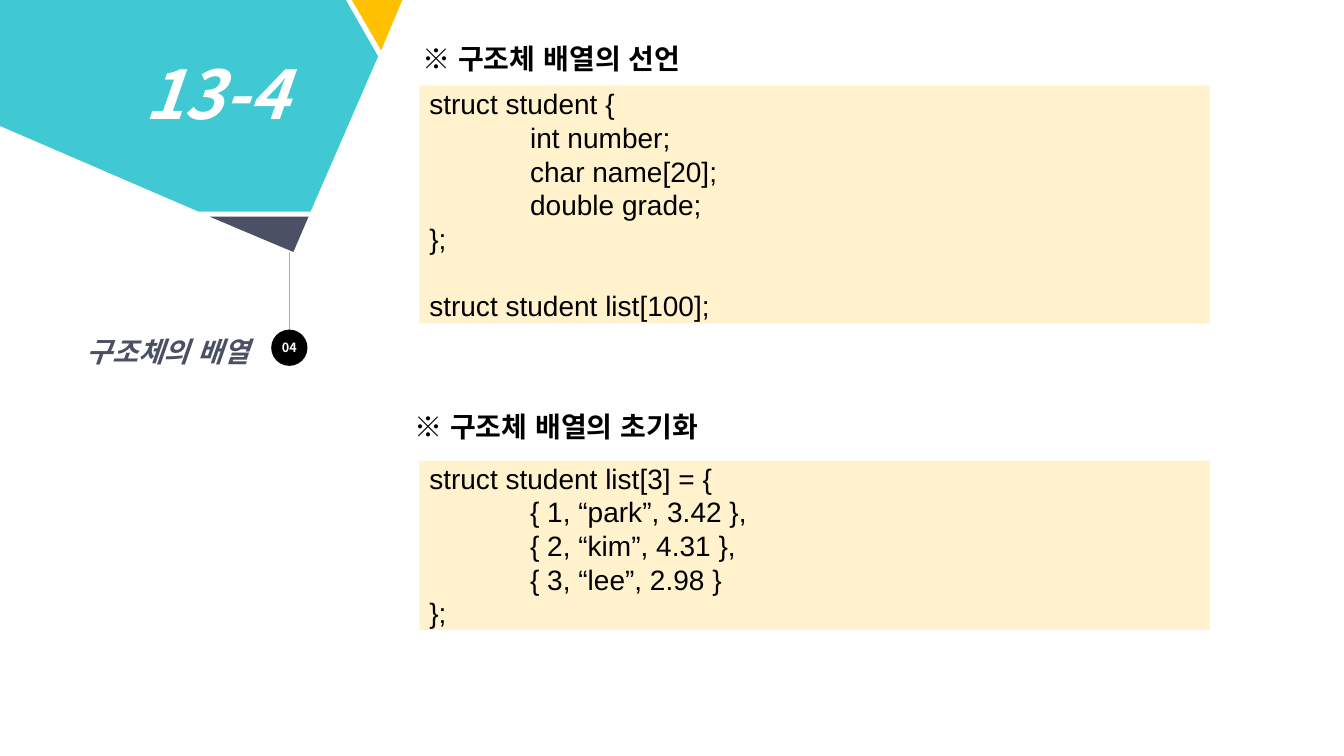
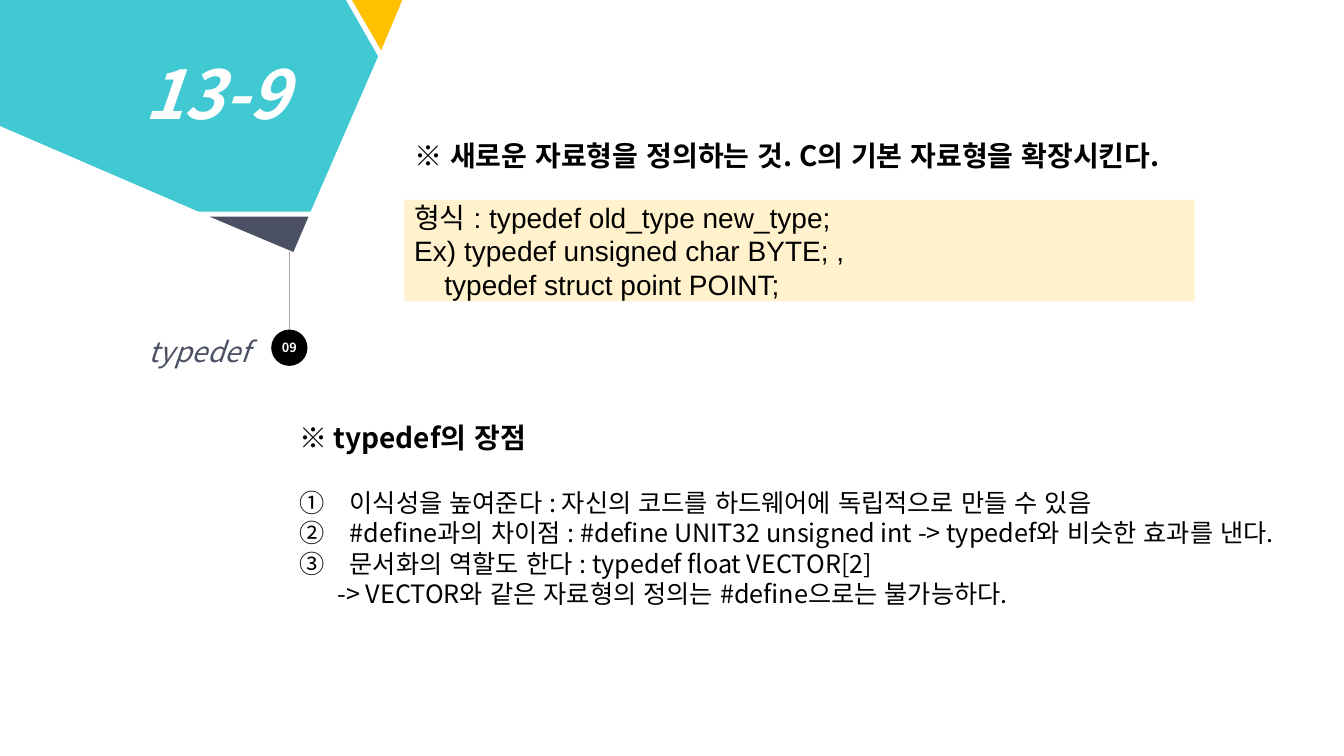
import pptx
import pptx.util
import pptx.dml.color
import pptx.enum.lang
import pptx.enum.shapes
import pptx.enum.text
import pptx.oxml
import pptx.oxml.ns

Inches, Pt = pptx.util.Inches, pptx.util.Pt
RGBColor = pptx.dml.color.RGBColor
ALIGN = pptx.enum.text.PP_ALIGN
ANCHOR = pptx.enum.text.MSO_ANCHOR
qn = pptx.oxml.ns.qn

# Shared style
TEAL = RGBColor(0x41, 0xC9, 0xD3)
AMBER = RGBColor(0xFF, 0xC0, 0x00)
SLATE = RGBColor(0x4C, 0x50, 0x64)
GRAY = RGBColor(0xAF, 0xAB, 0xAB)
CREAM = RGBColor(0xFF, 0xF2, 0xCC)
BLACK = RGBColor(0, 0, 0)
WHITE = RGBColor(0xFF, 0xFF, 0xFF)
KOREAN_FONT, CODE_FONT = "Noto Sans CJK KR", "Arial"

BANDS = [
    (AMBER, [(3.49, 0), (4.01, 0), (3.99, 0), (3.78, 0.5)]),
    (TEAL, [(0, 0), (3.43, 0), (3.75, 0.56), (3.08, 2.1), (1.97, 2.1), (0, 1.25)]),
    (SLATE, [(2.08, 2.15), (3.06, 2.15), (2.91, 2.5)]),
]


def fill_plain(shape, color):
    shape.shadow.inherit = False
    shape.fill.solid()
    shape.fill.fore_color.rgb = color
    shape.line.fill.background()


def write(paragraph, text, size, color=BLACK, bold=False, italic=False,
          font=KOREAN_FONT, align=ALIGN.LEFT):
    paragraph.alignment = align
    run = paragraph.add_run()
    run.text = text
    run.font.name, run.font.size = font, Pt(size)
    run.font.bold, run.font.italic = bold, italic
    run.font.color.rgb = color
    run.font.language_id = pptx.enum.lang.MSO_LANGUAGE_ID.KOREAN
    east_asian = pptx.oxml.parse_xml(
        f'<a:ea {pptx.oxml.ns.nsdecls("a")} typeface="{KOREAN_FONT}"/>')
    run.font._element.find(qn("a:latin")).addnext(east_asian)


def next_paragraph(frame):
    first = frame.paragraphs[0]
    return frame.add_paragraph() if first.runs else first


def indent(paragraph, left, numbered=False):
    properties = paragraph._p.get_or_add_pPr()
    properties.set("marL", str(Inches(left)))
    properties.set("indent", str(-Inches(left) if numbered else 0))
    if numbered:
        number = properties.makeelement(qn("a:buAutoNum"), {"type": "circleNumDbPlain"})
        properties.append(number)


def add_label(slide, box, text, size=20, wrap=True, **style):
    frame = slide.shapes.add_textbox(*map(Inches, box)).text_frame
    frame.word_wrap = wrap
    frame.auto_size = pptx.enum.text.MSO_AUTO_SIZE.SHAPE_TO_FIT_TEXT
    write(frame.paragraphs[0], text, size, **style)
    return frame


def add_heading(slide, box, text):
    return add_label(slide, box, "※ " + text, bold=True)


def add_code(slide, left, top, height, lines):
    """Each line is (text, left indent in inches, space before in points)."""
    panel = slide.shapes.add_shape(pptx.enum.shapes.MSO_SHAPE.RECTANGLE,
                                   *map(Inches, (left, top, 7.84, height)))
    fill_plain(panel, CREAM)
    frame = panel.text_frame
    frame.word_wrap = True
    frame.vertical_anchor = ANCHOR.MIDDLE
    frame.margin_top = frame.margin_bottom = 0
    for text, left_indent, gap in lines:
        paragraph = next_paragraph(frame)
        write(paragraph, text, 20, font=CODE_FONT)
        indent(paragraph, left_indent)
        paragraph.space_before = Pt(gap)


def add_band(slide, color, corners):
    start, *others = [(Inches(x), Inches(y)) for x, y in corners]
    outline = slide.shapes.build_freeform(*start)
    outline.add_line_segments(others, close=True)
    fill_plain(outline.convert_to_shape(), color)


def add_topic_slide(deck, number, topic, topic_bold):
    slide = deck.slides.add_slide(deck.slide_layouts[6])
    # Stem from the bands to the number badge
    stem = slide.shapes.add_connector(pptx.enum.shapes.MSO_CONNECTOR.STRAIGHT,
                                      *map(Inches, (2.87, 2.5, 2.87, 3.63)))
    stem.line.color.rgb, stem.line.width = GRAY, Pt(0.5)
    effects = stem._element.spPr
    effects.append(effects.makeelement(qn("a:effectLst"), {}))
    # Corner bands
    for color, corners in BANDS:
        add_band(slide, color, corners)
    # Number badge
    badge = slide.shapes.add_shape(pptx.enum.shapes.MSO_SHAPE.OVAL,
                                   *map(Inches, (2.69, 3.27, 0.36, 0.36)))
    fill_plain(badge, BLACK)
    frame = badge.text_frame
    frame.margin_left = frame.margin_right = frame.margin_top = frame.margin_bottom = 0
    frame.vertical_anchor = ANCHOR.MIDDLE
    write(frame.paragraphs[0], f"{number:02d}", 9, WHITE, bold=True, align=ALIGN.CENTER)
    # Topic and section number
    add_label(slide, (0.16, 3.27, 2.41, 0.44), topic, color=SLATE,
              bold=topic_bold, italic=True, align=ALIGN.RIGHT)
    add_label(slide, (1.33, 0.47, 1.65, 0.91), f"13-{number}", 48, wrap=False,
              color=WHITE, bold=True, italic=True)
    return slide


def build_struct_arrays(deck):
    slide = add_topic_slide(deck, 4, "구조체의 배열", True)
    add_heading(slide, (4.09, 0.36, 3.4, 0.44), "구조체 배열의 선언")
    add_code(slide, 4.16, 0.85, 2.36, [
        ("struct student {", 0, 0),
        ("int number;", 1, 0),
        ("char name[20];", 1, 0),
        ("double grade;", 1, 0),
        ("};", 0, 0),
        ("struct student list[100];", 0, 24),
    ])
    add_heading(slide, (4.01, 4.01, 3.25, 0.44), "구조체 배열의 초기화")
    add_code(slide, 4.16, 4.57, 1.68, [
        ("struct student list[3] = {", 0, 0),
        ("{ 1, “park”, 3.42 },", 1, 0),
        ("{ 2, “kim”, 4.31 },", 1, 0),
        ("{ 3, “lee”, 2.98 }", 1, 0),
        ("};", 0, 0),
    ])


def build_typedef(deck):
    slide = add_topic_slide(deck, 9, "typedef", False)
    add_heading(slide, (4.01, 1.33, 8.12, 0.44),
                "새로운 자료형을 정의하는 것. C의 기본 자료형을 확장시킨다.")
    add_code(slide, 4.01, 1.98, 1.01, [
        ("형식 : typedef old_type new_type;", 0, 0),
        ("Ex) typedef unsigned char BYTE; ,", 0, 0),
        ("typedef struct point POINT;", 0.3, 0),
    ])
    # Numbered advantages
    frame = add_heading(slide, (2.87, 4.12, 10.4, 2.29), "typedef의 장점")
    advantages = [
        "이식성을 높여준다 : 자신의 코드를 하드웨어에 독립적으로 만들 수 있음",
        "#define과의 차이점 : #define UNIT32 unsigned int -> typedef와 비슷한 효과를 낸다.",
        "문서화의 역할도 한다 : typedef float VECTOR[2]",
    ]
    for position, advantage in enumerate(advantages):
        paragraph = next_paragraph(frame)
        write(paragraph, advantage, 18)
        paragraph.space_before = Pt(0 if position else 24)
        indent(paragraph, 0.5, numbered=True)
    remark = next_paragraph(frame)
    write(remark, "-> VECTOR와 같은 자료형의 정의는 #define으로는 불가능하다.", 18)
    indent(remark, 0.38)


def main():
    deck = pptx.Presentation()
    deck.slide_width, deck.slide_height = Inches(13.33), Inches(7.5)
    build_struct_arrays(deck)
    build_typedef(deck)
    deck.save("out.pptx")


main()
